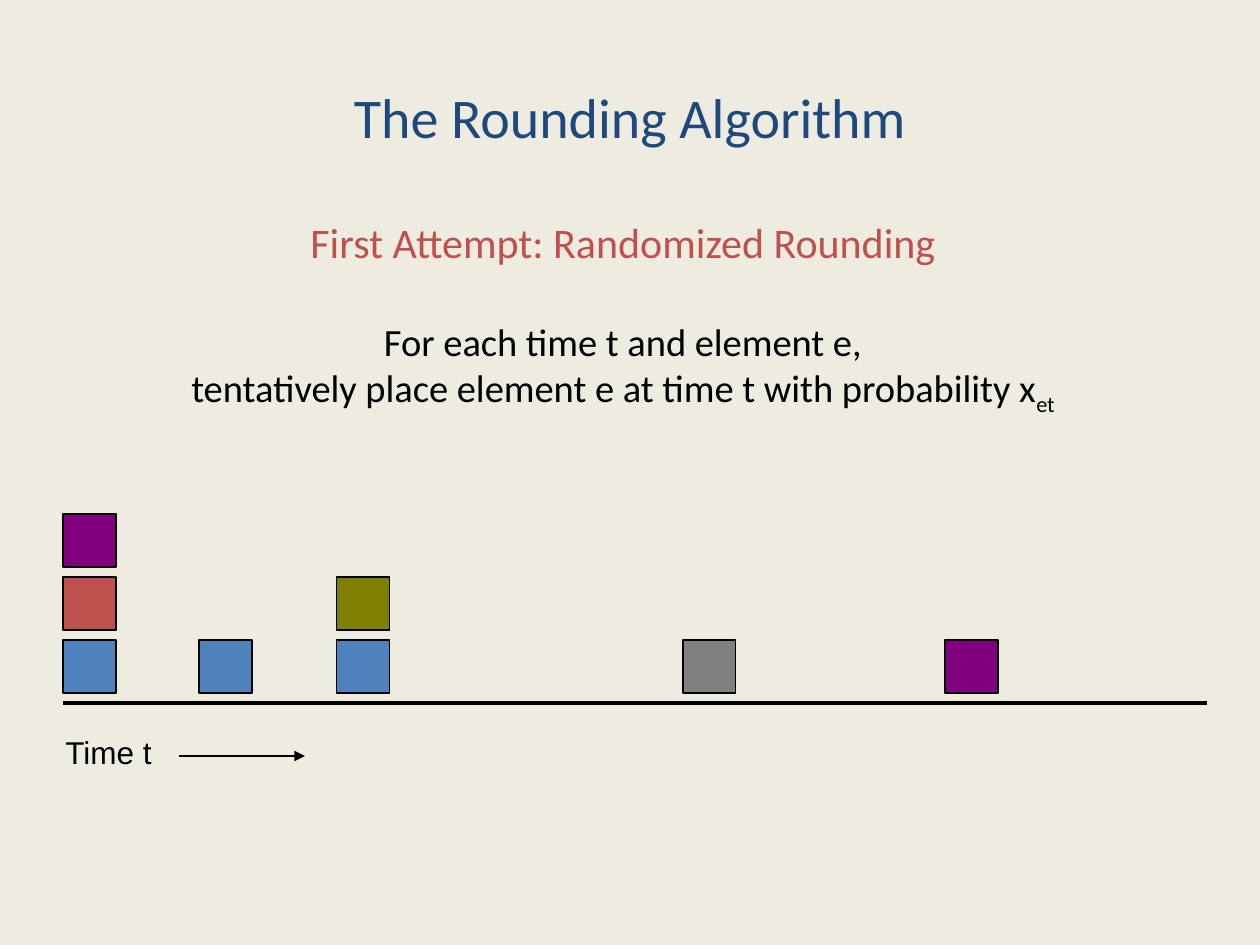
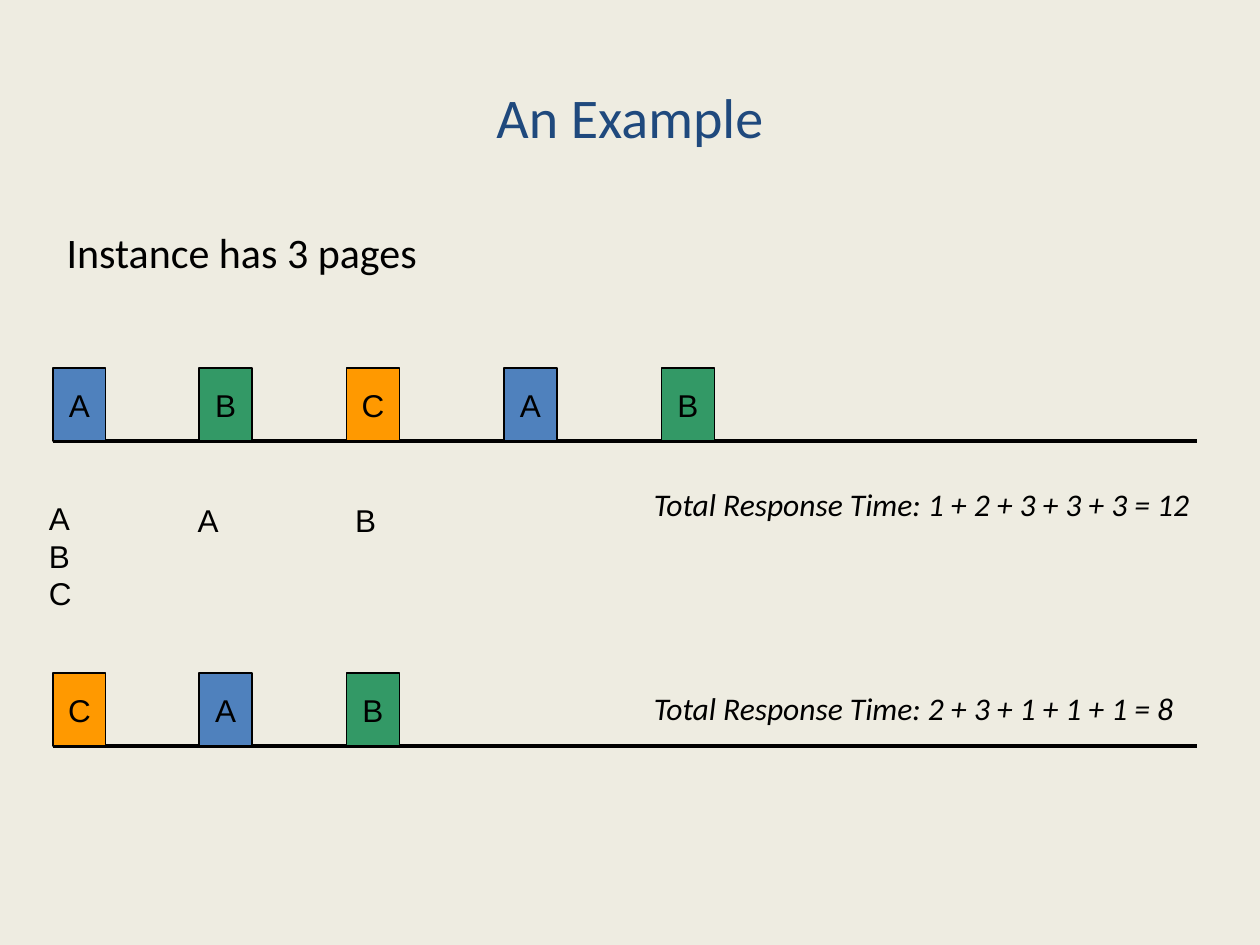
from dataclasses import dataclass

from lxml.etree import SubElement
from pptx import Presentation
from pptx.dml.color import RGBColor
from pptx.enum.shapes import MSO_CONNECTOR, MSO_SHAPE
from pptx.enum.text import MSO_ANCHOR, MSO_AUTO_SIZE, PP_ALIGN
from pptx.oxml.ns import qn
from pptx.util import Inches, Pt


@dataclass(frozen=True)
class Theme:
    """Colours, fonts and type sizes shared by the slides."""

    background: str = "EEECE1"
    title: str = "1F497D"
    ink: str = "000000"
    blue: str = "4F81BD"
    red: str = "C0504D"
    purple: str = "800080"
    olive: str = "808000"
    gray: str = "808080"
    green: str = "339966"
    orange: str = "FF9900"
    text_font: str = "Calibri"
    label_font: str = "Arial"
    title_size: int = 32
    lead_size: int = 24
    body_size: int = 22
    label_size: int = 18
    outline: float = 0.75


THEME = Theme()
BLOCK_WIDTH = 0.42
PAGE_HEIGHT = 0.58
TIMELINE_LENGTH = 9.08
PAGE_COLORS = {"A": THEME.blue, "B": THEME.green, "C": THEME.orange}


def style(paragraph, size, font=THEME.text_font, color=THEME.ink, align=None, italic=None):
    """Format a whole paragraph."""
    paragraph.alignment = align
    paragraph.font.size = Pt(size)
    paragraph.font.name = font
    paragraph.font.italic = italic
    paragraph.font.color.rgb = RGBColor.from_string(color)


def add_titled_slide(prs, title):
    """Add a slide with the shared title style."""
    slide = prs.slides.add_slide(prs.slide_layouts.get_by_name("Title Only"))
    heading = slide.shapes.title
    heading.left, heading.top = Inches(0.5), Inches(0.3)
    heading.width, heading.height = Inches(9), Inches(1.25)
    heading.text_frame.text = title
    heading.text_frame.vertical_anchor = MSO_ANCHOR.MIDDLE
    style(heading.text_frame.paragraphs[0], THEME.title_size,
          color=THEME.title, align=PP_ALIGN.CENTER)
    return slide


def add_text(slide, left, top, width, height, text, size=THEME.label_size,
             font=THEME.text_font, italic=None):
    """Add an unwrapped text box with one style for every line."""
    box = slide.shapes.add_textbox(Inches(left), Inches(top), Inches(width), Inches(height))
    frame = box.text_frame
    frame.word_wrap = False
    frame.auto_size = MSO_AUTO_SIZE.SHAPE_TO_FIT_TEXT
    frame.text = text
    for paragraph in frame.paragraphs:
        style(paragraph, size, font, italic=italic)


def add_line(slide, left, top, length, weight, arrow=False):
    """Add a horizontal line, optionally ending in an arrowhead."""
    line = slide.shapes.add_connector(
        MSO_CONNECTOR.STRAIGHT, Inches(left), Inches(top), Inches(left + length), Inches(top))
    line.line.color.rgb = RGBColor.from_string(THEME.ink)
    line.line.width = Pt(weight)
    properties = line._element.spPr
    if arrow:
        SubElement(properties.find(qn("a:ln")), qn("a:tailEnd"), type="triangle")
    SubElement(properties, qn("a:effectLst"))


def add_block(slide, left, top, height, color, label=""):
    """Add an outlined block, labelled when it stands for a page."""
    block = slide.shapes.add_shape(
        MSO_SHAPE.RECTANGLE, Inches(left), Inches(top), Inches(BLOCK_WIDTH), Inches(height))
    block.shadow.inherit = False
    block.fill.solid()
    block.fill.fore_color.rgb = RGBColor.from_string(color)
    block.line.color.rgb = RGBColor.from_string(THEME.ink)
    block.line.width = Pt(THEME.outline)
    if label:
        frame = block.text_frame
        frame.word_wrap = False
        frame.vertical_anchor = MSO_ANCHOR.MIDDLE
        frame.text = label
        style(frame.paragraphs[0], THEME.label_size, THEME.label_font, align=PP_ALIGN.CENTER)


def add_stack(slide, left, colors):
    """Stack element blocks upwards at one time step."""
    for level, color in enumerate(colors):
        add_block(slide, left, 5.08 - 0.5 * level, BLOCK_WIDTH, color)


def add_schedule(slide, baseline, pages):
    """Draw a timeline with labelled pages standing on it."""
    add_line(slide, 0.42, baseline, TIMELINE_LENGTH, 2)
    for left, page in zip((0.42, 1.58, 2.75, 4, 5.25), pages):
        add_block(slide, left, baseline - PAGE_HEIGHT, PAGE_HEIGHT, PAGE_COLORS[page], page)


def add_rounding_rule(slide):
    """Add the centred statement of the rounding attempt."""
    box = slide.shapes.add_textbox(Inches(0.73), Inches(1.67), Inches(8.43), Inches(1.69))
    frame = box.text_frame
    frame.word_wrap = True
    frame.text = ("First Attempt: Randomized Rounding\n"
                  "For each time t and element e,\n"
                  "tentatively place element e at time t with probability x")
    attempt, condition, action = frame.paragraphs
    subscript = action.add_run()
    subscript.text = "et"
    subscript._r.get_or_add_rPr().set("baseline", "-25000")
    style(attempt, THEME.lead_size, color=THEME.red, align=PP_ALIGN.CENTER)
    for paragraph in (condition, action):
        style(paragraph, THEME.body_size, align=PP_ALIGN.CENTER)
    condition.space_before = Pt(29)


def build_rounding_slide(prs):
    """Build the randomized rounding slide."""
    slide = add_titled_slide(prs, "The Rounding Algorithm")
    add_rounding_rule(slide)
    add_line(slide, 0.5, 5.58, TIMELINE_LENGTH, 2.5)
    add_text(slide, 0.42, 5.77, 0.89, 0.4, "Time t", font=THEME.label_font)
    add_line(slide, 1.42, 6, 1, THEME.outline, arrow=True)
    placements = {
        0.5: (THEME.blue, THEME.red, THEME.purple),
        1.58: (THEME.blue,),
        2.67: (THEME.blue, THEME.olive),
        5.42: (THEME.gray,),
        7.5: (THEME.purple,),
    }
    for left, colors in placements.items():
        add_stack(slide, left, colors)


def build_example_slide(prs):
    """Build the slide comparing two page schedules."""
    slide = add_titled_slide(prs, "An Example")
    add_text(slide, 0.43, 1.75, 2.99, 0.5, "Instance has 3 pages", THEME.lead_size)
    add_schedule(slide, 3.5, "ABCAB")
    add_schedule(slide, 5.92, "CAB")
    add_text(slide, 0.29, 3.91, 0.38, 1, "A\nB\nC", font=THEME.label_font)
    for left, request in ((1.47, "A"), (2.72, "B")):
        add_text(slide, left, 3.93, 0.36, 0.4, request, font=THEME.label_font)
    for top, width, total in ((3.8, 4.48, "1 + 2 + 3 + 3 + 3 = 12"),
                              (5.42, 4.35, "2 + 3 + 1 + 1 + 1 = 8")):
        add_text(slide, 5.09, top, width, 0.4, f"Total Response Time: {total}", italic=True)


def main():
    """Create and save the presentation."""
    prs = Presentation()
    prs.slide_width, prs.slide_height = Inches(10), Inches(7.5)
    backdrop = prs.slide_master.background.fill
    backdrop.solid()
    backdrop.fore_color.rgb = RGBColor.from_string(THEME.background)
    build_rounding_slide(prs)
    build_example_slide(prs)
    prs.save("out.pptx")


if __name__ == "__main__":
    main()
